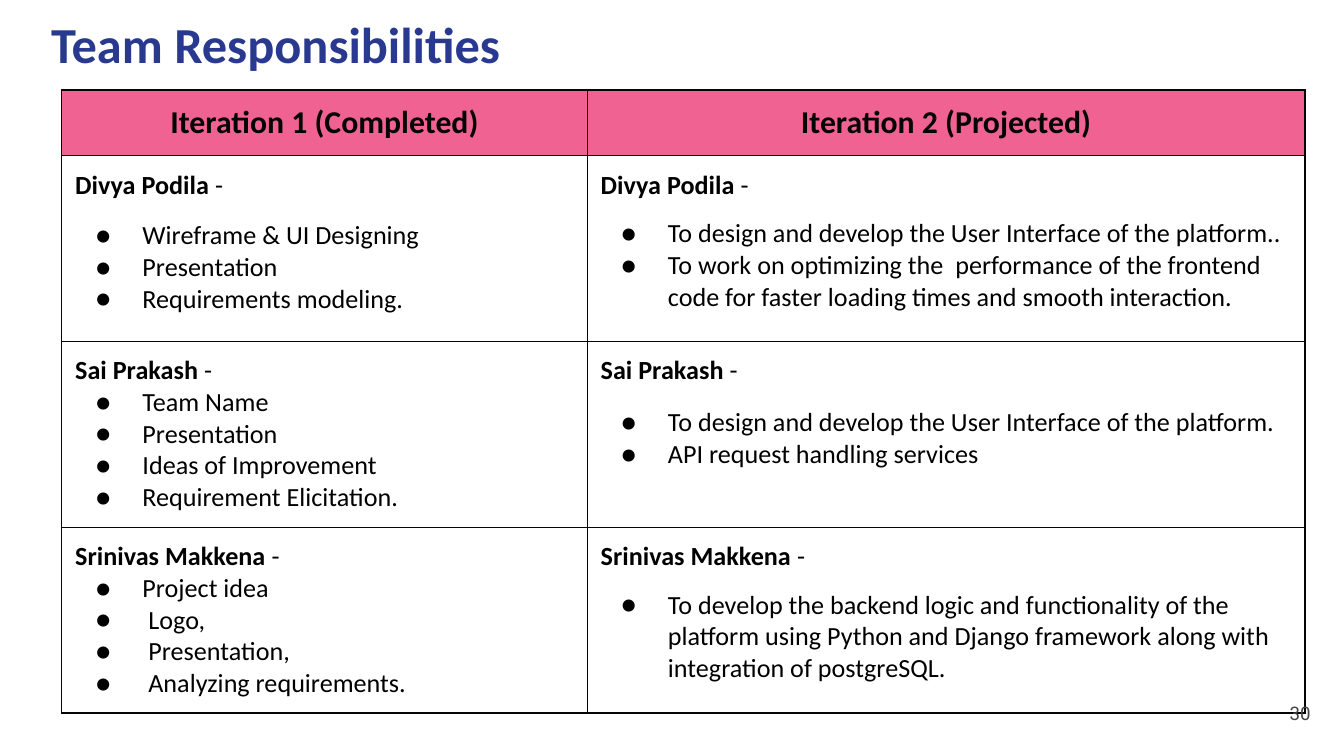
from pptx import Presentation
from pptx.dml.color import RGBColor
from pptx.enum.text import MSO_ANCHOR as Anchor, MSO_AUTO_SIZE as AutoSize, PP_ALIGN as Align
from pptx.oxml import parse_xml
from pptx.oxml.ns import nsdecls
from pptx.util import Inches, Pt

THEME = {
    "title": {"name": "Calibri", "size": Pt(27), "bold": True, "color": "2A3990"},
    "header": {"name": "Calibri", "size": Pt(17), "bold": True, "color": "050505"},
    "member": {"name": "Calibri", "size": Pt(14), "bold": True, "color": "000000"},
    "body": {"name": "Calibri", "size": Pt(14), "bold": False, "color": "000000"},
    "number": {"name": "Roboto", "size": Pt(10), "bold": False, "color": "434343"},
    "header_fill": "F06292",
    "border": "050505",
}

HEADERS = ["Iteration 1 (Completed)", "Iteration 2 (Projected)"]
TEAM = [
    ("Divya Podila", [
        (10, ["Wireframe & UI Designing", "Presentation", "Requirements modeling."]),
        (9, ["To design and develop the User Interface of the platform..",
             "To work on optimizing the  performance of the frontend code "
             "for faster loading times and smooth interaction."]),
    ]),
    ("Sai Prakash", [
        (0, ["Team Name", "Presentation", "Ideas of Improvement", "Requirement Elicitation."]),
        (11, ["To design and develop the User Interface of the platform.",
              "API request handling services"]),
    ]),
    ("Srinivas Makkena", [
        (0, ["Project idea", " Logo,", " Presentation,", " Analyzing requirements."]),
        (9, ["To develop the backend logic and functionality of the platform using Python "
             "and Django framework along with integration of postgreSQL."]),
    ]),
]


def add_span(para, text, style):
    span = para.add_run()
    span.text = text
    for key, value in THEME[style].items():
        if key == "color":
            span.font.color.rgb = RGBColor.from_string(value)
        else:
            setattr(span.font, key, value)


def set_format(target, **values):
    margins = dict.fromkeys(["margin_left", "margin_right", "margin_top", "margin_bottom"], Inches(0.1))
    for key, value in {**margins, **values}.items():
        setattr(target, key, value)


deck = Presentation()
deck.slide_width = Inches(10)
deck.slide_height = Inches(10 * 9 / 16)
page = deck.slides.add_slide(deck.slide_layouts[5])

title = page.shapes.title
title.left, title.top, title.width, title.height = Inches(0.28), Inches(0), Inches(3.88), Inches(0.43)
set_format(title.text_frame, vertical_anchor=Anchor.TOP, word_wrap=True, auto_size=AutoSize.NONE)
title_para = title.text_frame.paragraphs[0]
title_para.alignment = Align.LEFT
add_span(title_para, "Team Responsibilities", "title")

widths = [3.91, 5.34]
heights = [0.48] + [1.38] * len(TEAM)
table = page.shapes.add_table(
    len(heights), len(widths), Inches(0.46), Inches(0.67), Inches(sum(widths)), Inches(sum(heights))
).table
for column, width in zip(table.columns, widths):
    column.width = Inches(width)
for row, height in zip(table.rows, heights):
    row.height = Inches(height)

for cell in table.iter_cells():
    set_format(cell, vertical_anchor=Anchor.TOP)
    cell_properties = cell._tc.get_or_add_tcPr()
    for side in "LRTB":
        cell_properties.append(parse_xml(
            f'<a:ln{side} {nsdecls("a")} w="{Pt(0.75)}"><a:solidFill>'
            f'<a:srgbClr val="{THEME["border"]}"/></a:solidFill></a:ln{side}>'
        ))
    cell.fill.background()

for column_index, heading in enumerate(HEADERS):
    cell = table.cell(0, column_index)
    cell.fill.solid()
    cell.fill.fore_color.rgb = RGBColor.from_string(THEME["header_fill"])
    para = cell.text_frame.paragraphs[0]
    para.alignment = Align.CENTER
    add_span(para, heading, "header")

for row_index, (member, iterations) in enumerate(TEAM, start=1):
    for column_index, (gap, tasks) in enumerate(iterations):
        frame = table.cell(row_index, column_index).text_frame
        name_para = frame.paragraphs[0]
        add_span(name_para, member, "member")
        add_span(name_para, " -", "body")
        for task_index, task in enumerate(tasks):
            para = frame.add_paragraph()
            properties = para._p.get_or_add_pPr()
            properties.set("marL", str(Inches(0.5)))
            properties.set("indent", str(Inches(-0.35)))
            for bullet in (
                f'<a:buClr {nsdecls("a")}><a:srgbClr val="{THEME["body"]["color"]}"/></a:buClr>',
                f'<a:buFont {nsdecls("a")} typeface="{THEME["body"]["name"]}"/>',
                f'<a:buChar {nsdecls("a")} char="●"/>',
            ):
                properties.append(parse_xml(bullet))
            if task_index == 0 and gap:
                para.space_before = Pt(gap)
            add_span(para, task, "body")

number_box = page.shapes.add_textbox(Inches(9.25), Inches(5.09), Inches(0.6), Inches(0.43))
set_format(number_box.text_frame, vertical_anchor=Anchor.MIDDLE, word_wrap=True)
number_para = number_box.text_frame.paragraphs[0]
number_para.alignment = Align.RIGHT
add_span(number_para, "30", "number")

deck.save("out.pptx")
